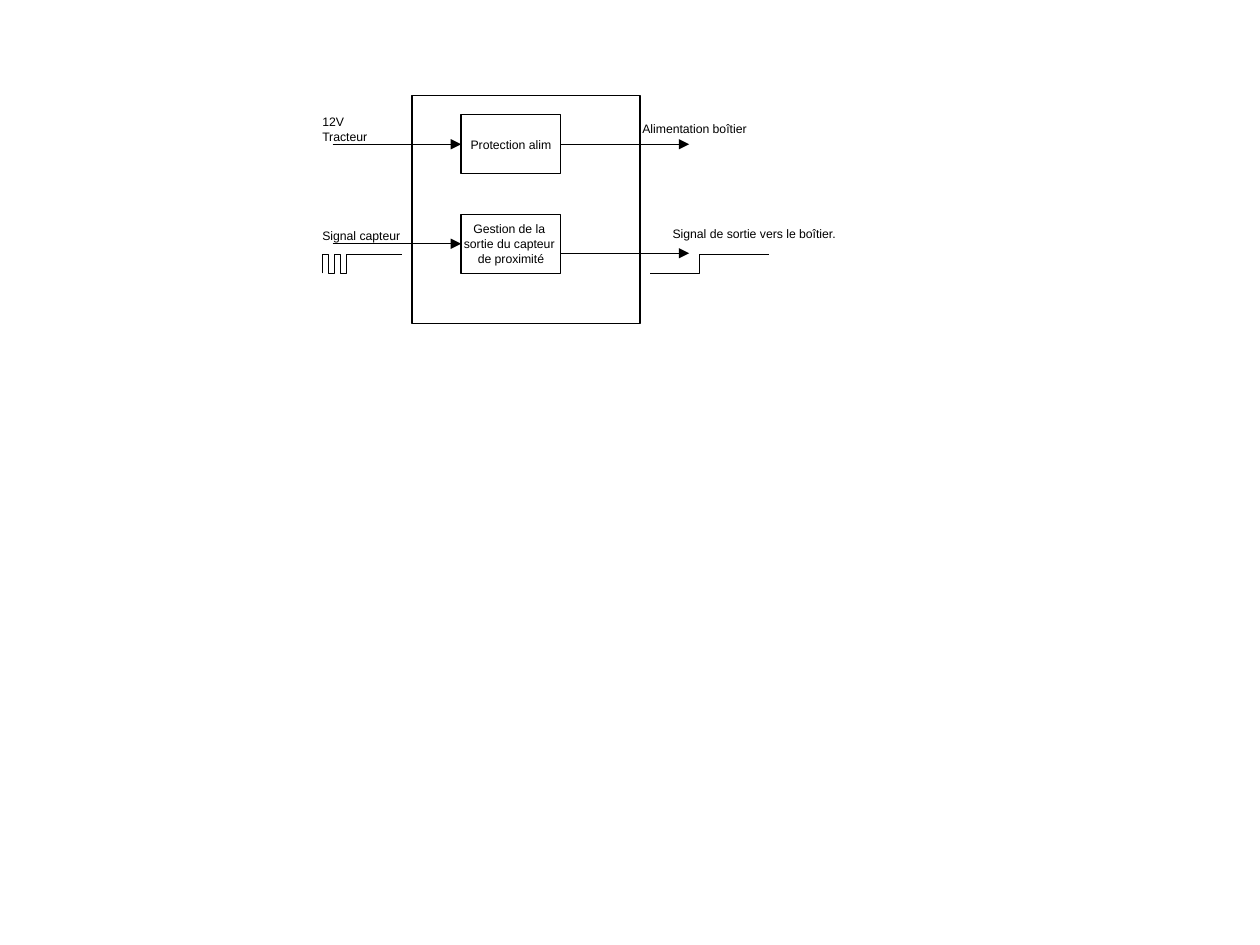
from dataclasses import dataclass

from lxml.etree import SubElement
from pptx import Presentation
from pptx.dml.color import RGBColor
from pptx.enum.shapes import MSO_CONNECTOR, MSO_SHAPE
from pptx.enum.text import MSO_ANCHOR, PP_ALIGN
from pptx.oxml.ns import qn
from pptx.util import Inches, Pt


@dataclass(frozen=True)
class Theme:
    ink: RGBColor = RGBColor(0, 0, 0)
    paper: RGBColor = RGBColor(255, 255, 255)
    font: str = "Arial"
    text_size: int = Pt(7)
    line_width: int = Pt(0.75)


THEME = Theme()
TOP, LEFT, BOTTOM, RIGHT = range(4)
BLOCK_WIDTH, BLOCK_HEIGHT = 0.79, 0.47
ARROW_LENGTH = 1.02


def set_attributes(target, values):
    for name, value in values.items():
        setattr(target, name, value)


def ink_line(item):
    item.line.color.rgb = THEME.ink
    item.line.width = THEME.line_width


def write(item, lines, align, frame_format):
    set_attributes(item.text_frame, frame_format)
    for index, line in enumerate(lines):
        frame = item.text_frame
        para = frame.add_paragraph() if index else frame.paragraphs[0]
        para.alignment = align
        span = para.add_run()
        span.text = line
        set_attributes(span.font, {"name": THEME.font, "size": THEME.text_size})
        span.font.color.rgb = THEME.ink


def add_rectangle(page, left, top, width, height):
    box = page.shapes.add_shape(
        MSO_SHAPE.RECTANGLE, *map(Inches, (left, top, width, height)))
    box.shadow.inherit = False
    box.fill.solid()
    box.fill.fore_color.rgb = THEME.paper
    ink_line(box)
    return box


def add_block(page, left, top, lines):
    block = add_rectangle(page, left, top, BLOCK_WIDTH, BLOCK_HEIGHT)
    write(block, lines, PP_ALIGN.CENTER,
          {"word_wrap": False, "vertical_anchor": MSO_ANCHOR.MIDDLE})
    return block


def add_label(page, left, top, width, height, lines):
    label = page.shapes.add_textbox(*map(Inches, (left, top, width, height)))
    write(label, lines, PP_ALIGN.LEFT,
          {"word_wrap": True, "vertical_anchor": MSO_ANCHOR.BOTTOM,
           "margin_right": 0})


def add_arrow(page, left, level):
    arrow = page.shapes.add_connector(
        MSO_CONNECTOR.STRAIGHT, Inches(left), Inches(level),
        Inches(left + ARROW_LENGTH), Inches(level))
    ink_line(arrow)
    SubElement(arrow.line._get_or_add_ln(), qn("a:tailEnd"), type="triangle")
    SubElement(arrow._element.spPr, qn("a:effectLst"))
    return arrow


def add_waveform(page, points):
    start, *rest = [(Inches(x), Inches(y)) for x, y in points]
    builder = page.shapes.build_freeform(*start)
    builder.add_line_segments(rest, close=False)
    wave = builder.convert_to_shape()
    wave.shadow.inherit = False
    wave.fill.background()
    ink_line(wave)


def supply_row(page, left, top):
    """Tractor supply, through its protection, to the unit."""
    block = add_block(page, left, top, ["Protection alim"])
    level = top + BLOCK_HEIGHT / 2
    add_arrow(page, left - ARROW_LENGTH, level).end_connect(block, LEFT)
    add_arrow(page, left + BLOCK_WIDTH, level).begin_connect(block, RIGHT)
    add_label(page, left - 1.2, top - 0.06, 0.56, 0.34, ["12V", "Tracteur"])
    add_label(page, left + 1.34, top, 1.26, 0.22, ["Alimentation boîtier"])


def sensor_row(page, left, top):
    """Sensor pulses, through output handling, to the unit."""
    block = add_block(page, left, top, [
        "Gestion de la ", "sortie du capteur ", "de proximité"])
    level = top + BLOCK_HEIGHT / 2
    add_arrow(page, left - ARROW_LENGTH, level).end_connect(block, LEFT)
    add_arrow(page, left + BLOCK_WIDTH, top + 0.31)
    add_label(page, left - 1.2, top - 0.06, 0.82, 0.34, ["Signal capteur"])
    add_label(page, left + 1.58, top - 0.08, 1.5, 0.34,
              ["Signal de sortie vers le boîtier."])

    # Pulse train in, single step out
    high, low = top + 0.32, top + 0.47
    pulse_left, pulse_width = left - 1.1, 0.0475
    pulses = []
    for edge in range(5):
        x = pulse_left + edge * pulse_width
        levels = (high, low) if edge % 2 else (low, high)
        pulses += [(x, y) for y in levels]
    add_waveform(page, pulses + [(pulse_left + 0.63, high)])
    step = left + 1.89
    add_waveform(page, [(step - 0.39, low), (step, low),
                        (step, high), (step + 0.55, high)])


def interface_diagram(page, left, top):
    add_rectangle(page, left, top, 1.81, 1.81)
    supply_row(page, left + 0.39, top + 0.15)
    sensor_row(page, left + 0.39, top + 0.94)


def main():
    deck = Presentation()
    set_attributes(deck, {"slide_width": Inches(10), "slide_height": Inches(7.5)})
    page = deck.slides.add_slide(deck.slide_layouts[6])
    interface_diagram(page, 3.27, 0.76)
    deck.save("out.pptx")


if __name__ == "__main__":
    main()
